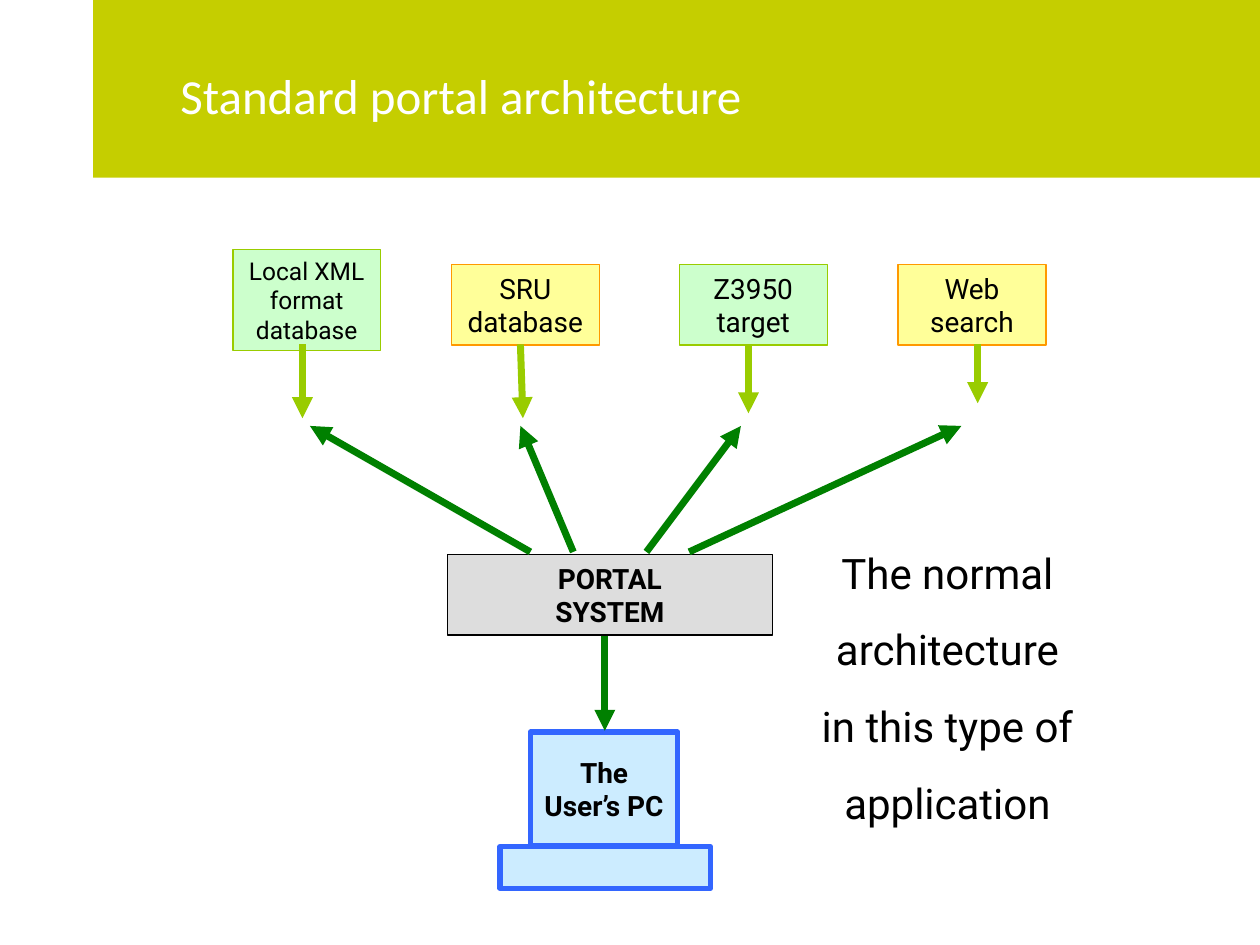
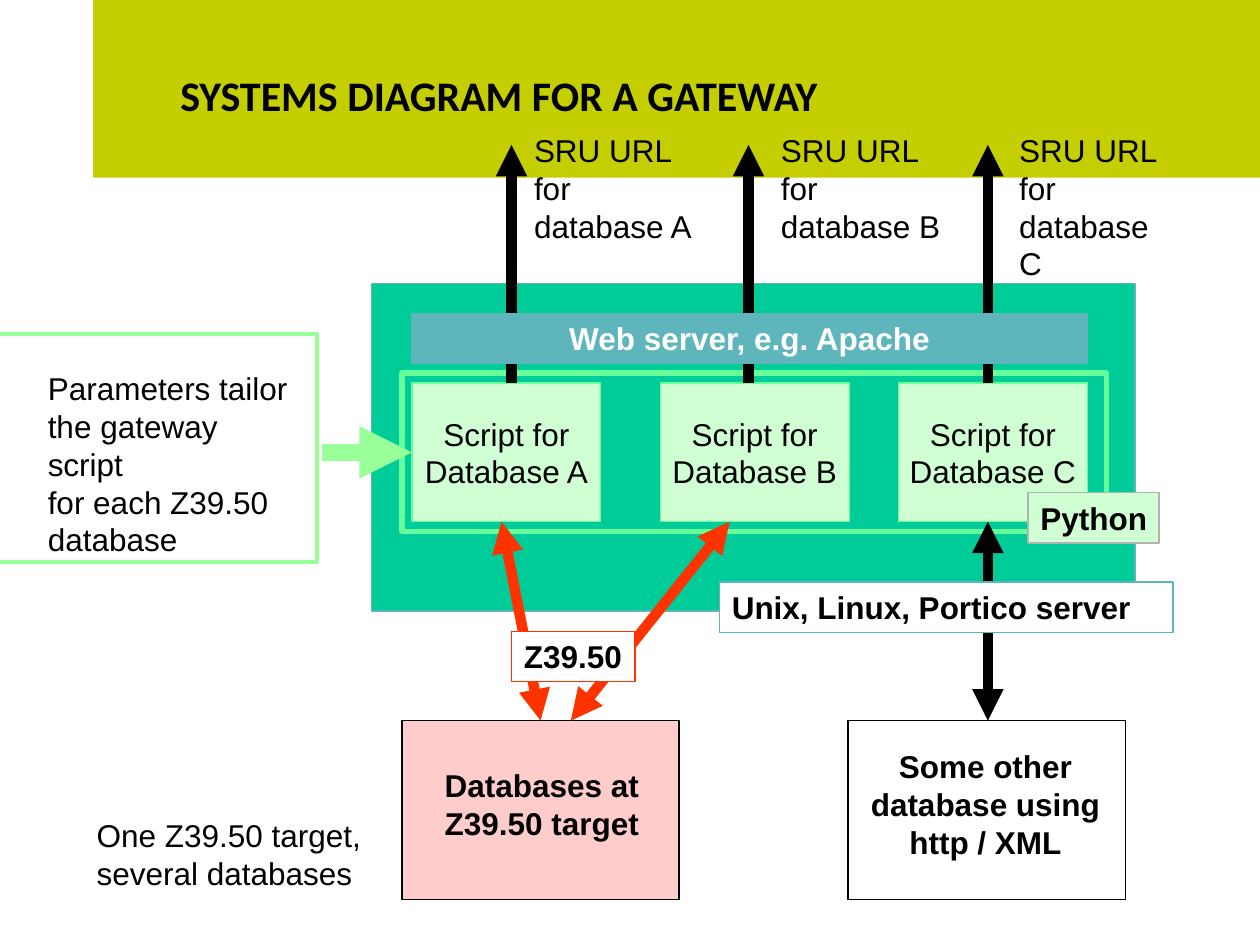
from dataclasses import dataclass

import pptx
import pptx.dml.color
import pptx.enum.shapes
import pptx.enum.text
import pptx.oxml
import pptx.oxml.ns
import pptx.shapes.autoshape
import pptx.slide
import pptx.text.text
import pptx.util

Pt = pptx.util.Pt
ALIGN = pptx.enum.text.PP_ALIGN
ANCHOR = pptx.enum.text.MSO_ANCHOR
RECTANGLE = pptx.enum.shapes.MSO_SHAPE.RECTANGLE
STRAIGHT = pptx.enum.shapes.MSO_CONNECTOR.STRAIGHT

COLORS = {
    "band": "C5CE00",
    "black": "000000",
    "white": "FFFFFF",
    "mint": "CCFFCC",
    "lime": "99CC00",
    "yellow": "FFFF99",
    "orange": "FF9900",
    "gray": "DDDDDD",
    "silver": "B2B2B2",
    "sky": "CCECFF",
    "blue": "3366FF",
    "green": "008000",
    "jade": "00CC99",
    "teal": "5EB5BC",
    "spring": "66FF99",
    "pale green": "D1FFD4",
    "light green": "99FF99",
    "pink": "FFCCCC",
    "red": "FF3300",
}


@dataclass(frozen=True)
class TextStyle:
    name: str
    size: float
    bold: bool = False
    color: str = "black"
    centered: bool = True
    middle: bool = True
    wrap: bool = False
    space_before: float = 0


@dataclass(frozen=True)
class Box:
    left: float
    top: float
    width: float
    height: float
    fill: str | None = None
    line: str | None = None
    line_width: float = 0.75
    text: str = ""
    style: TextStyle | None = None


@dataclass(frozen=True)
class Arrow:
    start: tuple[float, float]
    end: tuple[float, float]
    color: str
    width: float
    both_ends: bool = False


SOURCE = TextStyle("Roboto", 16, wrap=True)
SMALL_SOURCE = TextStyle("Roboto", 14, wrap=True)
SYSTEM = TextStyle("Roboto", 16, bold=True, wrap=True)
REMARK = TextStyle("Roboto", 24, space_before=15)
SCRIPT = TextStyle("Arial", 18)
SERVER_BAR = TextStyle("Arial", 18, bold=True, color="white")
NOTE = TextStyle("Arial", 18, centered=False, middle=False)
TAG = TextStyle("Arial", 18, bold=True, centered=False, middle=False)
DATABASE = TextStyle("Arial", 18, bold=True, middle=False, wrap=True)
LIGHT_TITLE = TextStyle("Calibri", 28, color="white", centered=False, wrap=True)
BOLD_TITLE = TextStyle("Calibri", 24, bold=True, centered=False, wrap=True)


def rgb(color: str) -> pptx.dml.color.RGBColor:
    return pptx.dml.color.RGBColor.from_string(COLORS[color])


def set_attributes(target: object, values: dict[str, object]) -> None:
    for name, value in values.items():
        setattr(target, name, value)


def write_text(frame: pptx.text.text.TextFrame, text: str, style: TextStyle) -> None:
    """Write one paragraph for each line of text."""
    set_attributes(frame, {
        "word_wrap": style.wrap,
        "vertical_anchor": ANCHOR.MIDDLE if style.middle else ANCHOR.TOP,
        "text": text,
    })
    for index, paragraph in enumerate(frame.paragraphs):
        paragraph.alignment = ALIGN.CENTER if style.centered else ALIGN.LEFT
        paragraph.space_before = Pt(style.space_before if index else 0)
        for run in paragraph.runs:
            set_attributes(run.font, {
                "name": style.name, "size": Pt(style.size), "bold": style.bold,
            })
            run.font.color.rgb = rgb(style.color)


def draw_box(slide: pptx.slide.Slide, box: Box) -> pptx.shapes.autoshape.Shape:
    place = [Pt(length) for length in (box.left, box.top, box.width, box.height)]
    if box.fill or box.line:
        shape = slide.shapes.add_shape(RECTANGLE, *place)
        shape.shadow.inherit = False
    else:
        shape = slide.shapes.add_textbox(*place)
    for fill, color in ((shape.fill, box.fill), (shape.line.fill, box.line)):
        if color:
            fill.solid()
            fill.fore_color.rgb = rgb(color)
        else:
            fill.background()
    if box.line:
        shape.line.width = Pt(box.line_width)
    if box.style:
        write_text(shape.text_frame, box.text, box.style)
    return shape


def draw_arrow(slide: pptx.slide.Slide, arrow: Arrow) -> None:
    points = [Pt(length) for length in (*arrow.start, *arrow.end)]
    connector = slide.shapes.add_connector(STRAIGHT, *points)
    connector.line.color.rgb = rgb(arrow.color)
    connector.line.width = Pt(arrow.width)
    namespace = pptx.oxml.ns.nsdecls("a")
    properties = connector.element.spPr
    for end in ("headEnd", "tailEnd") if arrow.both_ends else ("tailEnd",):
        properties.get_or_add_ln().append(
            pptx.oxml.parse_xml(f'<a:{end} {namespace} type="triangle"/>'))
    properties.append(pptx.oxml.parse_xml(f"<a:effectLst {namespace}/>"))


def draw(slide: pptx.slide.Slide, items: list[Box | Arrow]) -> None:
    for item in items:
        if isinstance(item, Box):
            draw_box(slide, item)
        else:
            draw_arrow(slide, item)


def prepare_layout(layout: pptx.slide.SlideLayout, slide: pptx.slide.Slide) -> None:
    """Put the band and the title position on the layout that all slides share."""
    band = draw_box(slide, Box(53.3, 0, 666.7, 101.5, "band")).element
    band.xpath(".//p:cNvPr")[0].set("id", "20")
    layout.shapes.element.insert(2, band)
    title = layout.placeholders[0]
    set_attributes(title, {
        "left": Pt(95.8), "top": Pt(18), "width": Pt(522.7), "height": Pt(72),
    })
    set_attributes(title.text_frame, {
        "margin_left": Pt(7.2), "margin_right": Pt(7.2),
        "margin_top": Pt(2.9), "margin_bottom": Pt(2.9),
    })


def build_portal(slide: pptx.slide.Slide) -> None:
    write_text(slide.shapes.title.text_frame, "Standard portal architecture", LIGHT_TITLE)
    draw(slide, [
        Box(133.2, 142.6, 84.2, 57.6, "mint", "lime",
            text="Local XML format database", style=SMALL_SOURCE),
    ])
    draw(slide, [
        Box(left, 151.2, 84.6, 46, fill, line, text=text, style=SOURCE)
        for left, fill, line, text in (
            (257.8, "yellow", "orange", "SRU database"),
            (388.1, "mint", "lime", "Z3950 target"),
            (513.1, "yellow", "orange", "Web search"),
        )
    ])
    draw(slide, [
        Arrow((start, 196.8), (end, bottom), "lime", 4)
        for start, end, bottom in (
            (172.8, 172.8, 239), (297.4, 298.8, 239),
            (427.7, 427.7, 236.2), (558.7, 558.7, 230.4),
        )
    ])
    draw(slide, [
        Box(255.6, 316.8, 185.8, 46, "gray", "black",
            text="PORTAL\nSYSTEM", style=SYSTEM),
        Box(303.1, 418.3, 84.2, 64.8, "sky", "blue", 3, "The\nUser’s PC", SYSTEM),
        Box(285.8, 483.8, 120.2, 23.8, "sky", "blue", 3),
    ])
    draw(slide, [
        Arrow((start, 315.4), (end, 243.4), "green", 4)
        for start, end in (
            (303.1, 177.1), (327.6, 297.4), (369.4, 423.4), (393.8, 549.4),
        )
    ])
    draw(slide, [
        Arrow((345.6, 363.6), (345.6, 417.6), "green", 4),
        Box(457.9, 308.9, 167, 167.8, style=REMARK,
            text="The normal\narchitecture\nin this type of\napplication"),
    ])


def build_gateway(slide: pptx.slide.Slide) -> None:
    script_top, script_bottom, database_top = 218.9, 298.1, 411.8
    write_text(slide.shapes.title.text_frame, "SYSTEMS DIAGRAM FOR A GATEWAY", BOLD_TITLE)
    draw(slide, [
        Box(212.4, 162, 436.3, 187.2, "jade", "teal"),
        Box(229.7, 213.1, 402.5, 90.7, "jade", "spring", 3),
        Box(229.7, database_top, 158.4, 102.2, "pink", "black"),
        Box(484.6, database_top, 158.4, 102.2, "white", "black"),
    ])
    for letter, script_left, arrow_x, label_left in (
        ("A", 235.4, 292.3, 298.1),
        ("B", 377.3, 427.7, 439.2),
        ("C", 513.4, 564.5, 575.3),
    ):
        draw(slide, [
            Box(script_left, script_top, 108, script_bottom - script_top,
                "pale green", "spring",
                text=f"Script for\nDatabase {letter}", style=SCRIPT),
            Arrow((arrow_x, script_top), (arrow_x, 82.8), "black", 6),
            Box(label_left, 71.3, 105.5, 72, style=NOTE,
                text=f"SRU URL\nfor\ndatabase {letter}"),
        ])
    draw(slide, [
        Arrow((top_x, script_bottom), (bottom_x, database_top), color, 6, both_ends=True)
        for top_x, bottom_x, color in (
            (286.6, 308.9, "red"), (416.9, 326.2, "red"), (564.5, 564.5, "black"),
        )
    ])
    draw(slide, [
        Box(247, 434.2, 125.3, 50.4, text="Databases at\nZ39.50 target", style=DATABASE),
        Box(484.6, 423.4, 157, 72, style=DATABASE,
            text="Some other\ndatabase using http / XML"),
        Box(235.4, 179.3, 385.9, 28.1, "teal", "teal",
            text="Web server, e.g. Apache", style=SERVER_BAR),
    ])
    draw(slide, [
        Box(left, top, width, 28.8, fill, line, text=text, style=TAG)
        for left, top, width, fill, line, text in (
            (292.3, 360.7, 70.6, "white", "red", "Z39.50"),
            (411.1, 332.6, 259.2, "white", "teal", "Unix, Linux, Portico server"),
            (587.5, 281.5, 74.9, "pale green", "silver", "Python"),
        )
    ])
    draw(slide, [
        Box(20.2, 207.4, 159.1, 93.6, style=NOTE,
            text="Parameters tailor\nthe gateway script\nfor each Z39.50\ndatabase"),
        Box(48.2, 463, 165.6, 50.4, style=NOTE,
            text="One Z39.50 target,\nseveral databases"),
        Box(-20.2, 190.8, 201.6, 130.3, None, "light green", 2.25),
        Arrow((184.3, 258.5), (235.4, 258.5), "light green", 10),
    ])


def main() -> None:
    presentation = pptx.Presentation()
    set_attributes(presentation, {"slide_width": Pt(720), "slide_height": Pt(540)})
    layout = presentation.slide_layouts.get_by_name("Title Only")
    portal, gateway = (presentation.slides.add_slide(layout) for _ in range(2))
    prepare_layout(layout, portal)
    build_portal(portal)
    build_gateway(gateway)
    presentation.save("out.pptx")


if __name__ == "__main__":
    main()
